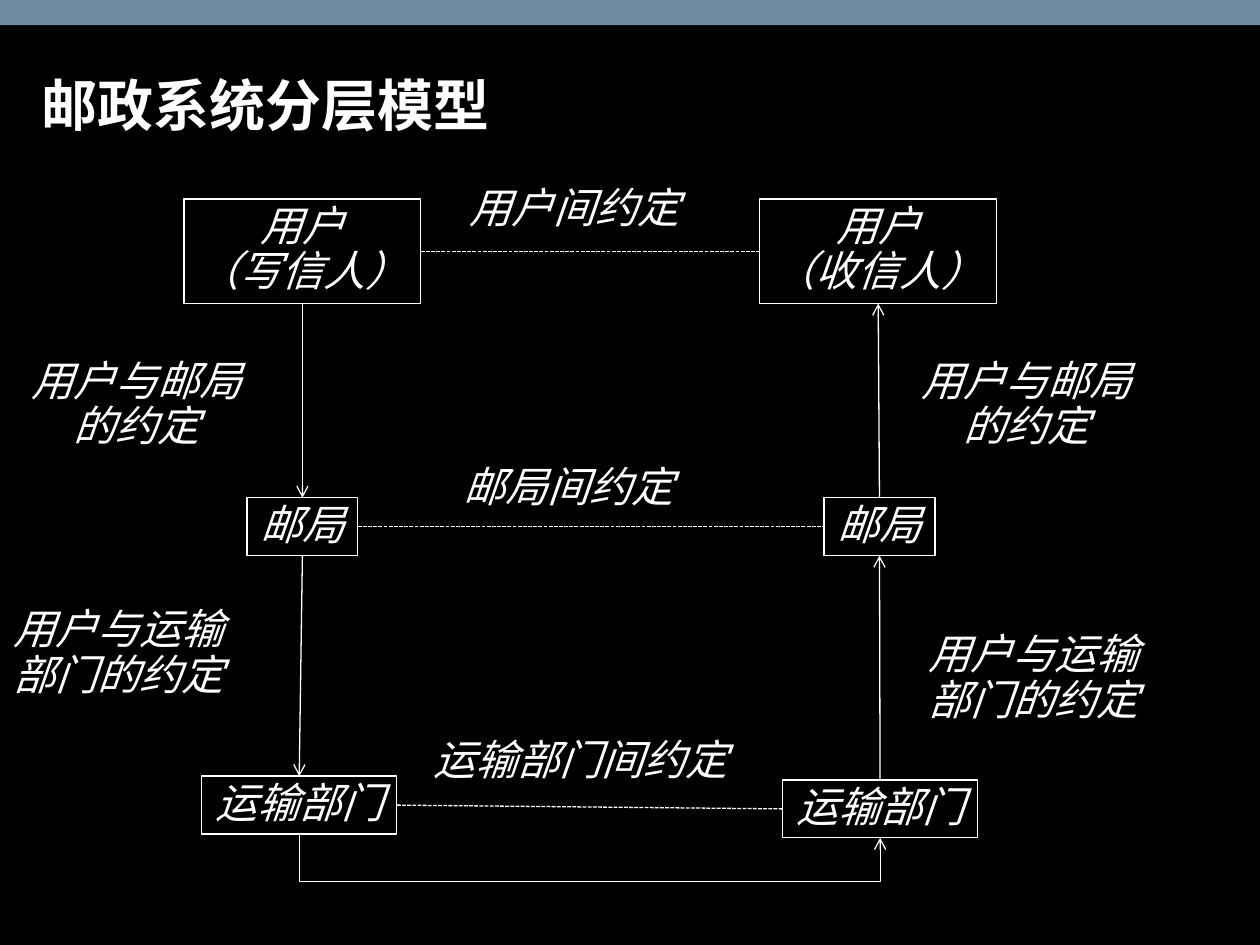
import pptx
import pptx.util
import pptx.dml.color
import pptx.enum.dml
import pptx.enum.shapes
import pptx.enum.text
import pptx.oxml.ns
from lxml import etree

Inches, Pt = pptx.util.Inches, pptx.util.Pt
Kind = pptx.enum.shapes.MSO_CONNECTOR
Rect = pptx.enum.shapes.MSO_SHAPE.RECTANGLE
Align, Anchor = pptx.enum.text.PP_ALIGN, pptx.enum.text.MSO_ANCHOR
Fit = pptx.enum.text.MSO_AUTO_SIZE
Dash = pptx.enum.dml.MSO_LINE.SQUARE_DOT
qn = pptx.oxml.ns.qn

WHITE, BLACK, BAR = "FFFFFF", "000000", "708CA1"
TITLE = "邮政系统分层模型"
NODES = {
    "writer": (1.46, 1.58, 1.88, ["用户", "（写信人）"]),
    "reader": (6.03, 1.58, 1.88, ["用户", "（收信人）"]),
    "post1": (1.96, 3.95, 0.88, ["邮局"]),
    "post2": (6.54, 3.95, 0.88, ["邮局"]),
    "move1": (1.6, 6.16, 1.55, ["运输部门"]),
    "move2": (6.21, 6.19, 1.55, ["运输部门"]),
}
LABELS = [
    (3.62, 1.44, 1.88, ["用户间约定"]),
    (3.57, 3.65, 1.88, ["邮局间约定"]),
    (3.33, 5.82, 2.56, ["运输部门间约定"]),
    (0.14, 2.81, 1.88, ["用户与邮局", "的约定"]),
    (0, 4.78, 1.88, ["用户与运输", "部门的约定"]),
    (7.21, 2.81, 1.88, ["用户与邮局", "的约定"]),
    (7.26, 4.98, 1.88, ["用户与运输", "部门的约定"]),
]
PEERS = [("writer", "reader"), ("post1", "post2"), ("move1", "move2")]
DOWN = [("writer", "post1"), ("post1", "move1")]
UP = [("move2", "post2"), ("post2", "reader")]
HIGH = {1: 0.46, 2: 0.83}
DROP = 0.38


def color(code):
    return pptx.dml.color.RGBColor.from_string(code)


def paint(fill, code):
    fill.solid()
    fill.fore_color.rgb = color(code)


def stroke(line):
    paint(line.fill, WHITE)
    line.width = Pt(0.75)


def style(run, size):
    run.font.name = "Arial"
    run.font.size = Pt(size)
    run.font.color.rgb = color(WHITE)


def write(shape, rows):
    frame = shape.text_frame
    frame.word_wrap = False
    frame.auto_size = Fit.SHAPE_TO_FIT_TEXT
    frame.vertical_anchor = Anchor.TOP
    for i, row in enumerate(rows):
        para = frame.add_paragraph() if i else frame.paragraphs[0]
        para.alignment = Align.CENTER
        para.line_spacing = 0.9
        run = para.add_run()
        run.text = row
        style(run, 24)
        run.font.italic = True


def place(x, y, wide, rows):
    return [Inches(n) for n in (x, y, wide, HIGH[len(rows)])]


def plain(link, arrow):
    stroke(link.line)
    props = link._element.spPr
    if arrow:
        etree.SubElement(props.find(qn("a:ln")), qn("a:tailEnd"), type="arrow")
    etree.SubElement(props, qn("a:effectLst"))


def join(shapes, first, last, start, end, arrow=True):
    link = shapes.add_connector(Kind.STRAIGHT, 0, 0, 0, 0)
    link.begin_connect(first, start)
    link.end_connect(last, end)
    plain(link, arrow)
    return link


def detour(shapes, first, last):
    x1, x2 = (s.left + s.width // 2 for s in (first, last))
    y1, y2 = (s.top + s.height for s in (first, last))
    wide, high = y2 - y1, x2 - x1
    left, top = (x1 + x2 - wide) // 2, (y1 + y2 - high) // 2
    link = shapes.add_connector(Kind.ELBOW, left, top, left + wide, top + high)
    plain(link, True)
    form = link._element.spPr.find(qn("a:xfrm"))
    form.set("rot", str(270 * 60000))
    form.set("flipH", "1")
    geom = link._element.spPr.find(qn("a:prstGeom"))
    ratio = round(Inches(DROP) / wide * 100000)
    etree.SubElement(geom.find(qn("a:avLst")), qn("a:gd"),
                     name="adj1", fmla=f"val {ratio}")


def head(shapes):
    title = shapes.title
    title.left, title.top, title.width, title.height = (
        Inches(n) for n in (0.23, 0.23, 8.91, 0.92))
    frame = title.text_frame
    frame.auto_size = Fit.NONE
    frame.vertical_anchor = Anchor.BOTTOM
    para = frame.paragraphs[0]
    para.alignment = Align.LEFT
    para.line_spacing = 0.9
    run = para.add_run()
    run.text = TITLE
    style(run, 32)
    run.font.bold = True


def main():
    deck = pptx.Presentation()
    deck.slide_width, deck.slide_height = Inches(10), Inches(7.5)
    slide = deck.slides.add_slide(deck.slide_layouts[5])
    paint(slide.background.fill, BLACK)
    shapes = slide.shapes
    bar = shapes.add_shape(Rect, 0, 0, Inches(10), Inches(0.2))
    bar.shadow.inherit = False
    paint(bar.fill, BAR)
    bar.line.fill.background()
    head(shapes)

    boxes = {}
    for name, node in NODES.items():
        box = shapes.add_shape(Rect, *place(*node))
        box.shadow.inherit = False
        box.fill.background()
        stroke(box.line)
        write(box, node[3])
        boxes[name] = box
    for label in LABELS:
        write(shapes.add_textbox(*place(*label)), label[3])

    for a, b in PEERS:
        join(shapes, boxes[a], boxes[b], 3, 1, False).line.dash_style = Dash
    for a, b in DOWN:
        join(shapes, boxes[a], boxes[b], 2, 0)
    for a, b in UP:
        join(shapes, boxes[a], boxes[b], 0, 2)
    detour(shapes, boxes["move1"], boxes["move2"])
    deck.save("out.pptx")


if __name__ == "__main__":
    main()
